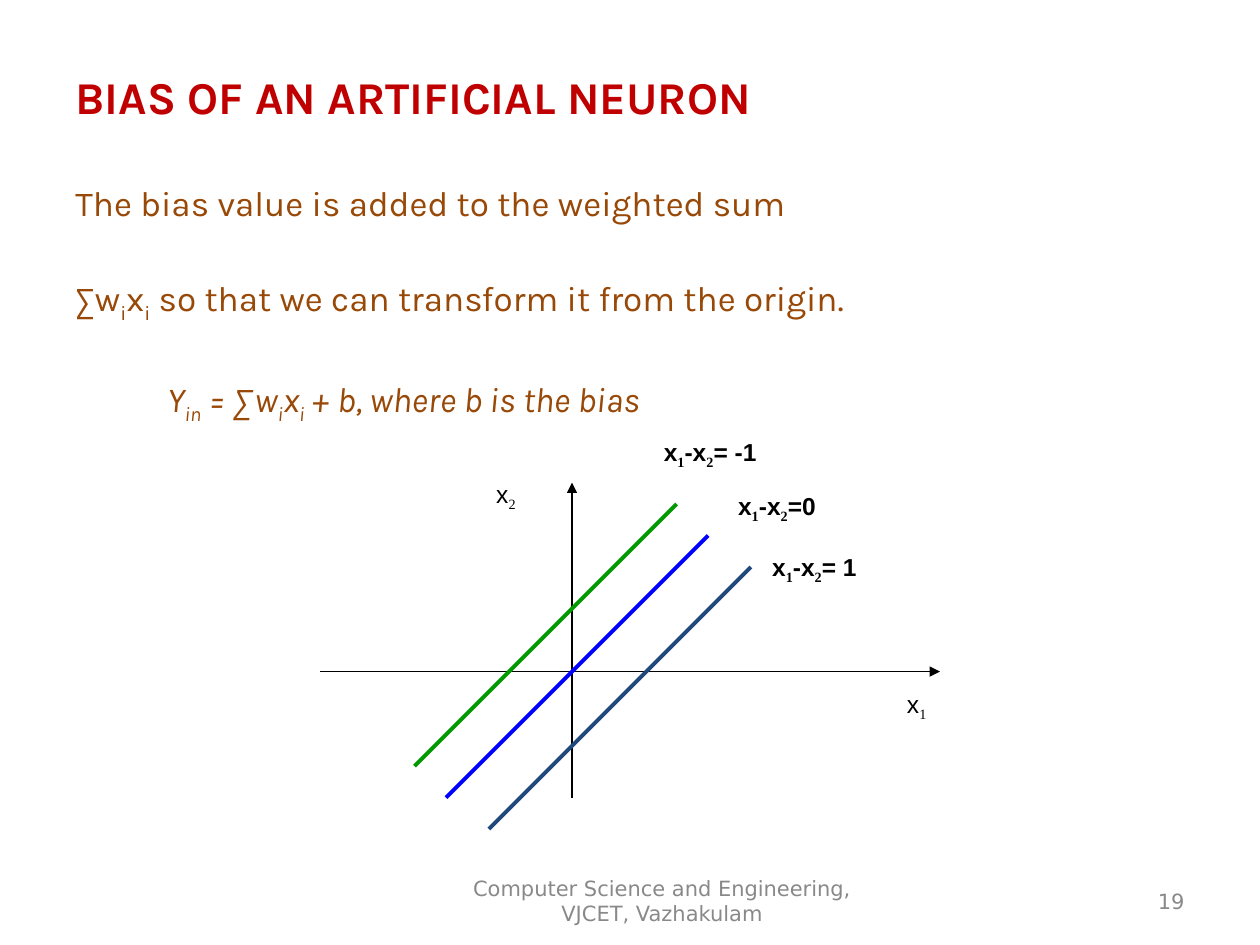
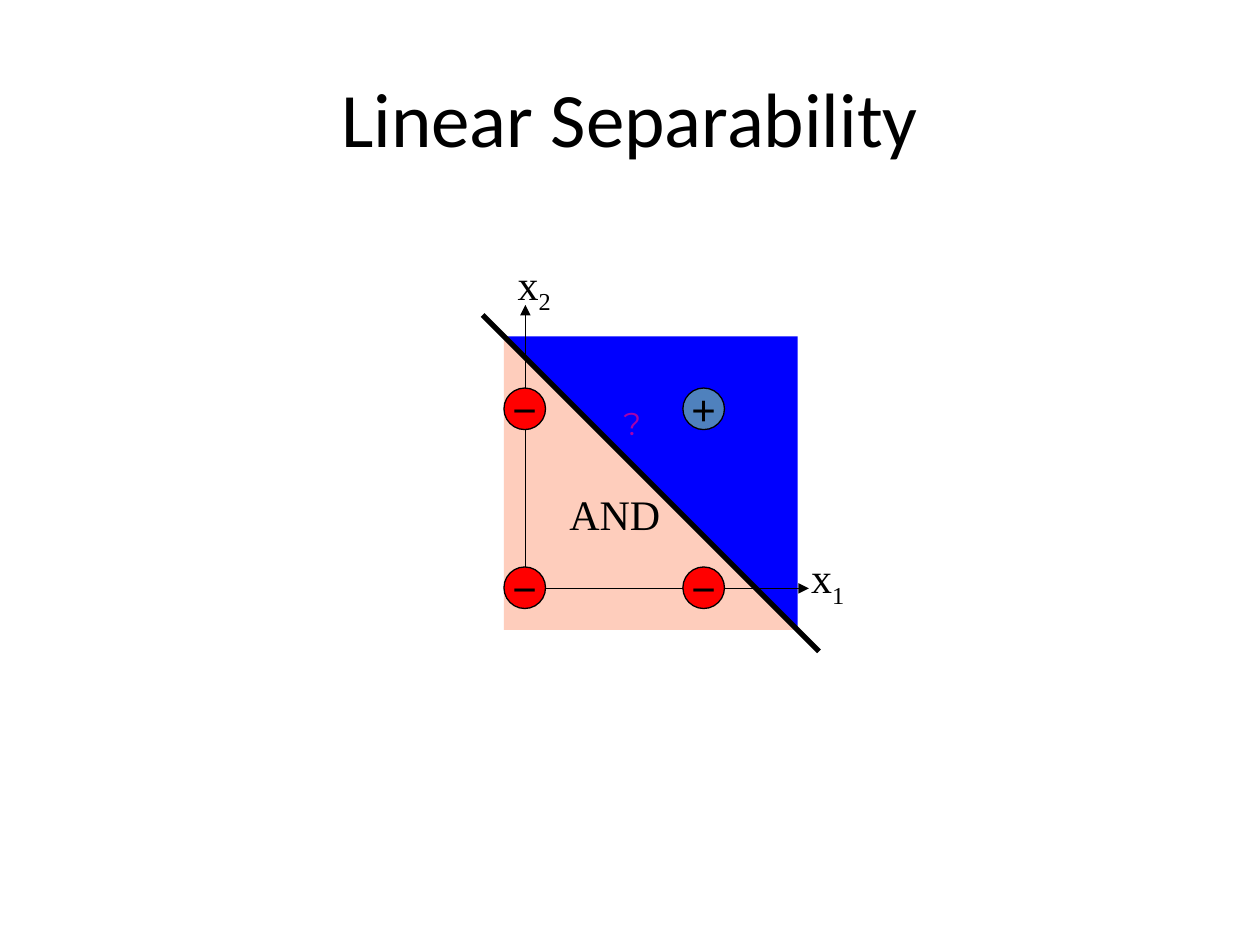
from lxml.etree import SubElement as Sub
from pptx import Presentation
from pptx.dml.color import RGBColor
from pptx.enum.shapes import MSO_CONNECTOR as Conn, MSO_SHAPE as Shape
from pptx.enum.text import MSO_ANCHOR as Anchor, PP_ALIGN as Align
from pptx.oxml.ns import qn
from pptx.util import Inches, Pt

BLACK = RGBColor(0, 0, 0)
RED = RGBColor(0xC0, 0, 0)
BROWN = RGBColor(0x98, 0x48, 0x07)
GREEN = RGBColor(0, 0x99, 0)
BLUE = RGBColor(0, 0, 0xFF)
NAVY = RGBColor(0x1F, 0x49, 0x7D)
GREY = RGBColor(0x89, 0x89, 0x89)
PEACH = RGBColor(0xFE, 0xCD, 0xBC)
MINUS = RGBColor(0xFF, 0, 0)
PLUS = RGBColor(0x4F, 0x81, 0xBD)
PURPLE = RGBColor(0xA6, 0x03, 0xAB)

SERIF = "Times New Roman"


def write(para, text, size=14, font="Arial", color=BLACK, bold=False,
          italic=False, align=Align.LEFT, low=None):
    para.alignment = align
    for i, part in enumerate(text.split("~")):
        if not part:
            continue
        run = para.add_run()
        run.text = part
        face = run.font
        face.size = Pt(size)
        face.bold = bold
        face.italic = italic
        face.color.rgb = color
        face.name = font
        if i % 2:
            face.name = low or font
            face._element.set("baseline", "-25000")


def add_box(slide, left, top, width, height, anchor=Anchor.TOP):
    frame = slide.shapes.add_textbox(
        Inches(left), Inches(top), Inches(width), Inches(height)).text_frame
    frame.word_wrap = True
    frame.vertical_anchor = anchor
    return frame


def add_text(slide, text, left, top, width=1.2, height=0.37,
             anchor=Anchor.TOP, **style):
    para = add_box(slide, left, top, width, height, anchor).paragraphs[0]
    write(para, text, **style)
    return para


def add_line(slide, start, end, color=BLACK, width=0.75, arrow=False):
    ends = [Inches(v) for v in (*start, *end)]
    line = slide.shapes.add_connector(Conn.STRAIGHT, *ends)
    line.line.color.rgb = color
    line.line.width = Pt(width)
    if arrow:
        Sub(line.line._ln, qn("a:tailEnd"), type="triangle")
    Sub(line._element.spPr, qn("a:effectLst"))


def add_area(slide, points, color):
    first, *rest = [(Inches(x), Inches(y)) for x, y in points]
    path = slide.shapes.build_freeform(*first)
    path.add_line_segments(rest, close=True)
    area = path.convert_to_shape()
    area.shadow.inherit = False
    area.fill.solid()
    area.fill.fore_color.rgb = color
    area.line.fill.background()


def add_dot(slide, sign, left, top, color):
    side = Inches(0.33)
    dot = slide.shapes.add_shape(
        Shape.OVAL, Inches(left), Inches(top), side, side)
    dot.shadow.inherit = False
    dot.fill.solid()
    dot.fill.fore_color.rgb = color
    dot.line.color.rgb = BLACK
    dot.line.width = Pt(0.75)
    frame = dot.text_frame
    frame.word_wrap = False
    frame.vertical_anchor = Anchor.MIDDLE
    write(frame.paragraphs[0], sign, size=24, align=Align.CENTER)


def add_foot(slide, text, left, width, align):
    add_text(slide, text, left, 6.95, width, 0.4, Anchor.MIDDLE,
             size=12, font="DejaVu Sans", color=GREY, align=align)


def add_body(slide):
    frame = add_box(slide, 0.5, 1.36, 9, 2.5)
    lines = [
        ("The bias value is added to the weighted sum", 0, False),
        ("∑w~i~x~i~ so that we can transform it from the origin.", 0, False),
        ("Y~in~ = ∑w~i~x~i~ + b, where b is the bias", 0.73, True),
    ]
    for i, (text, left, italic) in enumerate(lines):
        para = frame.add_paragraph() if i else frame.paragraphs[0]
        para.line_spacing = 1.1
        if i:
            para.space_before = Pt(27.5)
        if left:
            props = para._p.get_or_add_pPr()
            props.set("marL", str(Inches(left)))
            props.set("indent", "0")
        write(para, text, size=20, font="Karla", color=BROWN, italic=italic)


def draw_bias(slide):
    add_text(slide, "BIAS OF AN ARTIFICIAL NEURON", 0.5, 0.5, 9, 0.54,
             size=26, font="Karla", color=RED, bold=True)
    add_body(slide)
    add_line(slide, (2.54, 5.33), (7.46, 5.33), arrow=True)
    add_line(slide, (4.54, 6.33), (4.54, 3.83), arrow=True)
    run = 2.08
    for x, y, color in ((5.37, 4, GREEN), (5.62, 4.25, BLUE),
                        (5.96, 4.5, NAVY)):
        add_line(slide, (x, y), (x - run, y + run), color, 2.25)
    for text, x, y, bold in (
            ("x~1~-x~2~=0", 5.76, 3.85, True),
            ("x~1~-x~2~= 1", 6.03, 4.33, True),
            ("x~1~-x~2~= -1", 5.17, 3.42, True),
            ("x~1~", 7.1, 5.42, False),
            ("x~2~", 3.84, 3.75, False)):
        add_text(slide, text, x, y, bold=bold, low=SERIF)
    add_foot(slide, "19", 7.17, 2.33, Align.RIGHT)
    add_foot(slide, "Computer Science and Engineering, VJCET, Vazhakulam",
             3.42, 3.67, Align.CENTER)


def draw_split(slide):
    near, far, top, base = 4, 6.33, 2.67, 5
    add_area(slide, [(near, top), (far, top), (far, base)], BLUE)
    add_area(slide, [(far, base), (near, base), (near, top)], PEACH)
    add_line(slide, (3.83, 2.5), (6.5, 5.17), width=3)
    add_text(slide, "Linear Separability", 0.5, 0.3, 9, 1.25, Anchor.MIDDLE,
             size=44, font="Calibri", align=Align.CENTER)
    zero = (4.17, 4.67)
    for end in ((6.42, 4.67), (4.17, 2.42)):
        add_line(slide, zero, end, arrow=True)
    for x in (4, 5.42):
        for y in (3.08, 4.5):
            both = x > 4 and y < 4
            add_dot(slide, "+" if both else "−", x, y,
                    PLUS if both else MINUS)
    for text, x, y in (("x~1~", 6.34, 4.33), ("x~2~", 4.01, 2),
                       ("AND", 4.42, 3.83)):
        add_text(slide, text, x, y, height=0.5, size=24, font=SERIF)
    mark = add_text(slide, "?", 4.85, 3.16, 0.5, 0.71,
                    size=18, font="Montserrat", color=PURPLE)
    props = mark.runs[0].font._element
    edge = Sub(props, qn("a:ln"), w=str(Pt(1)))
    Sub(Sub(edge, qn("a:solidFill")), qn("a:srgbClr"), val="EAEAEA")
    props.insert(0, edge)


def main():
    deck = Presentation()
    deck.slide_width = Inches(10)
    deck.slide_height = Inches(7.5)
    for draw in (draw_bias, draw_split):
        draw(deck.slides.add_slide(deck.slide_layouts[6]))
    deck.save("out.pptx")


if __name__ == "__main__":
    main()
